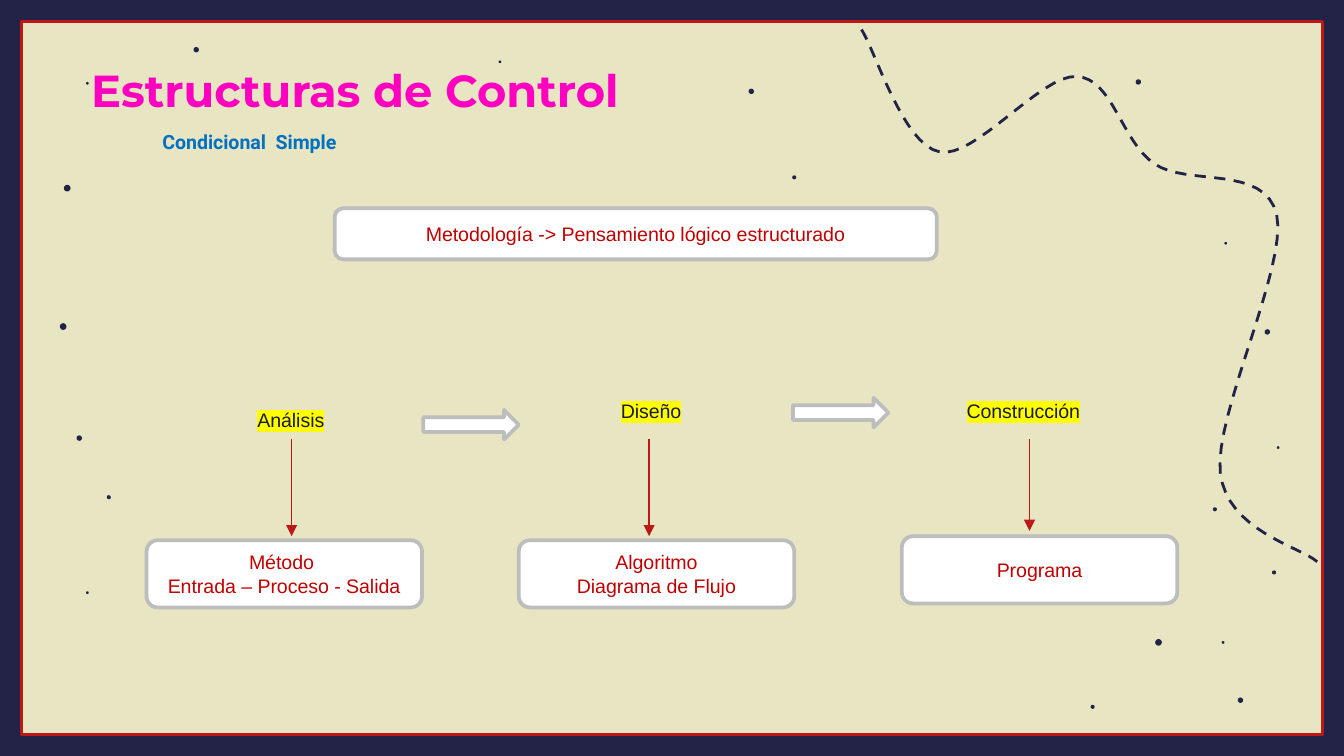
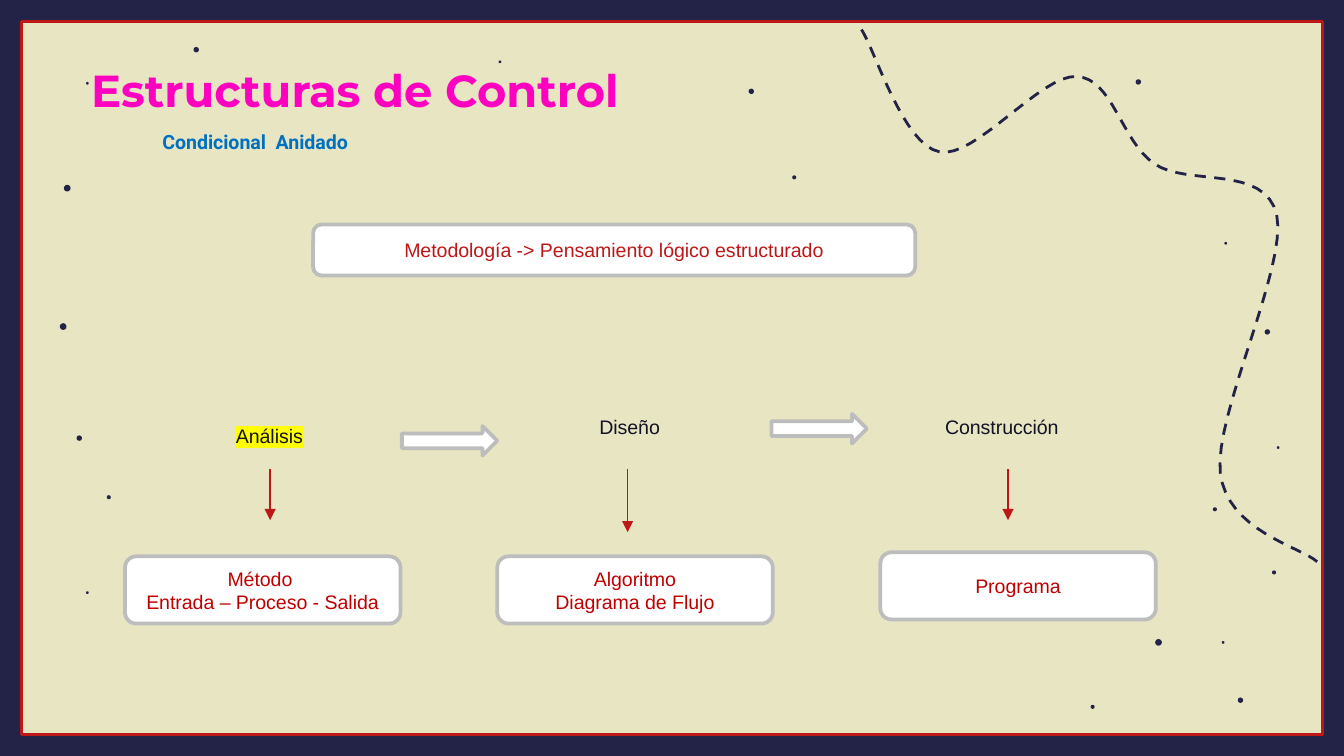
from dataclasses import dataclass

from lxml.etree import SubElement
from pptx import Presentation
from pptx.dml.color import RGBColor
from pptx.enum.dml import MSO_LINE_DASH_STYLE as Dash
from pptx.enum.shapes import MSO_CONNECTOR as Connector
from pptx.enum.shapes import MSO_SHAPE as Shape
from pptx.enum.text import MSO_ANCHOR as Anchor
from pptx.enum.text import PP_ALIGN as Align
from pptx.oxml import parse_xml
from pptx.oxml.ns import nsdecls, qn
from pptx.util import Inches, Pt

COLORS = {
    "paper": "E8E5C3", "navy": "232347", "red": "BD1717", "crimson": "C00000",
    "white": "FFFFFF", "gray": "BDBDBD", "pink": "FF00C1", "blue": "0070C0",
    "ink": "1A1A35", "dark_ink": "121224", "yellow": "FFFF00",
}
WIDTH, BAND = 10, 0.16
HEIGHT = WIDTH * 9 / 16
BODY_SIZE = 10.5

TRAIL_START = (6.41, 0.22)
TRAIL_CURVES = [
    ((6.51, 0.37), (6.72, 1.08), (6.99, 1.13)),
    ((7.25, 1.19), (7.75, 0.55), (8.01, 0.57)),
    ((8.28, 0.58), (8.34, 1.05), (8.59, 1.22)),
    ((8.84, 1.39), (9.41, 1.22), (9.5, 1.6)),
    ((9.58, 1.99), (9.03, 3.09), (9.08, 3.52)),
    ((9.13, 3.95), (9.68, 4.07), (9.8, 4.18)),
]
# Dot centres by diameter
DOTS = {
    0.05: [(8.62, 4.78), (0.5, 1.4), (0.47, 2.43)],
    0.04: [(5.59, 0.68), (9.23, 5.21), (9.43, 2.47), (0.59, 3.26), (8.47, 0.61),
           (1.46, 0.37)],
    0.03: [(0.81, 3.7), (9.04, 3.79), (5.91, 1.32), (9.48, 4.26), (8.13, 5.26)],
    0.02: [(9.1, 4.78), (9.12, 1.81), (3.72, 0.46), (0.65, 4.41), (9.51, 3.33),
           (0.65, 0.62)],
}


@dataclass
class Stage:
    """One step of the method; places are relative to the flow's corner."""
    name: str
    result: list
    label_at: tuple
    stem_left: float
    result_at: tuple


STAGES = [
    Stage("Análisis", ["Método ", "Entrada – Proceso - Salida"],
          (0.09, 1.09), 1.08, (0, 2.47)),
    Stage("Diseño", ["Algoritmo", "Diagrama de Flujo"],
          (2.77, 1.02), 3.74, (2.77, 2.47)),
    Stage("Construcción", ["Programa"], (5.54, 1.02), 6.57, (5.62, 2.44)),
]
BLOCK_ARROWS = [(2.06, 1.5), (4.81, 1.41)]


def rgb(name):
    return RGBColor.from_string(COLORS[name])


def add_box(slide, kind, left, top, width, height, fill=None, line=None, weight=2):
    shape = slide.shapes.add_shape(
        kind, Inches(left), Inches(top), Inches(width), Inches(height))
    shape.shadow.inherit = False
    paint(shape, fill, line, weight)
    return shape


def paint(shape, fill, line, weight):
    if fill:
        shape.fill.solid()
        shape.fill.fore_color.rgb = rgb(fill)
    else:
        shape.fill.background()
    if line:
        shape.line.color.rgb = rgb(line)
        shape.line.width = Pt(weight)
    else:
        shape.line.fill.background()


def write(shape, lines, color, size=BODY_SIZE, font="Arial", bold=False,
          align=Align.CENTER, anchor=Anchor.MIDDLE, highlight=None):
    frame = shape.text_frame
    frame.word_wrap = True
    frame.vertical_anchor = anchor
    for index, text in enumerate(lines):
        paragraph = frame.add_paragraph() if index else frame.paragraphs[0]
        paragraph.alignment = align
        run = paragraph.add_run()
        run.text = text
        run.font.size = Pt(size)
        run.font.name = font
        run.font.bold = bold
        run.font.color.rgb = rgb(color)
        if highlight:
            run.font._element.find(qn("a:solidFill")).addnext(parse_xml(
                f'<a:highlight {nsdecls("a")}>'
                f'<a:srgbClr val="{COLORS[highlight]}"/></a:highlight>'))


def add_frame(slide):
    slide.background.fill.solid()
    slide.background.fill.fore_color.rgb = rgb("paper")
    for left, top, width, height in [
        (0, 0, WIDTH, BAND), (0, HEIGHT - BAND, WIDTH, BAND),
        (0, 0, BAND, HEIGHT), (WIDTH - BAND, 0, BAND, HEIGHT),
    ]:
        add_box(slide, Shape.RECTANGLE, left, top, width, height, "navy")
    add_box(slide, Shape.RECTANGLE, BAND, BAND, WIDTH - 2 * BAND,
            HEIGHT - 2 * BAND, line="red", weight=1.5)


def bezier_points(start, curves, steps=16):
    """Points along a chain of cubic curves, without the start."""
    points = []
    for first, second, end in curves:
        for step in range(1, steps + 1):
            t = step / steps
            u = 1 - t
            points.append(tuple(
                u**3 * a + 3 * u * u * t * b + 3 * u * t * t * c + t**3 * d
                for a, b, c, d in zip(start, first, second, end)))
        start = end
    return points


def add_trail(slide):
    builder = slide.shapes.build_freeform(*map(Inches, TRAIL_START))
    builder.add_line_segments(
        [(Inches(x), Inches(y)) for x, y in bezier_points(TRAIL_START, TRAIL_CURVES)],
        close=False)
    trail = builder.convert_to_shape()
    trail.shadow.inherit = False
    paint(trail, None, "navy", 1.5)
    trail.line.dash_style = Dash.DASH


def add_dots(slide):
    for size, centres in DOTS.items():
        for x, y in centres:
            add_box(slide, Shape.OVAL, x - size / 2, y - size / 2, size, size, "navy")


def add_heading(slide, left, top, topic):
    title = slide.shapes.add_textbox(
        Inches(left), Inches(top), Inches(5.09), Inches(0.5))
    write(title, ["Estructuras de Control"], "pink", 24, "Montserrat", True,
          Align.LEFT, Anchor.TOP)
    subtitle = slide.shapes.add_textbox(
        Inches(left + 0.53), Inches(top + 0.5), Inches(3.55), Inches(0.28))
    write(subtitle, [topic], "blue", font="Roboto", bold=True,
          align=Align.JUSTIFY, anchor=Anchor.TOP)


def add_stem(slide, x, top, bottom):
    """Thin arrow from a stage down to its result."""
    stem = slide.shapes.add_connector(
        Connector.STRAIGHT, Inches(x), Inches(top), Inches(x), Inches(bottom))
    stem.line.color.rgb = rgb("red")
    stem.line.width = Pt(0.75)
    SubElement(stem.line._get_or_add_ln(), qn("a:tailEnd"), type="triangle")
    SubElement(stem._element.spPr, qn("a:effectLst"))


def add_flow(slide, left, top, marked, ink, banner_color, stem_top, stem_bottoms):
    """The banner and the three stages, placed from the corner (left, top)."""
    for stage in STAGES:
        x, y = stage.label_at
        label = add_box(slide, Shape.OVAL, left + x, top + y, 1.97, 0.97,
                        "paper", "paper")
        write(label, [stage.name], ink,
              highlight="yellow" if stage.name in marked else None)

    banner = add_box(slide, Shape.ROUNDED_RECTANGLE, left + 1.4, top, 4.48, 0.38,
                     "white", "gray")
    write(banner, ["Metodología -> Pensamiento lógico estructurado"], banner_color)

    for x, y in BLOCK_ARROWS:
        add_box(slide, Shape.RIGHT_ARROW, left + x, top + y, 0.71, 0.22,
                "white", "gray")

    for stage in STAGES:
        x, y = stage.result_at
        result = add_box(slide, Shape.ROUNDED_RECTANGLE, left + x, top + y, 2.05, 0.5,
                         "white", "gray")
        write(result, stage.result, "crimson")

    for stage, stem_bottom in zip(STAGES, stem_bottoms):
        add_stem(slide, left + stage.stem_left, top + stem_top, top + stem_bottom)


def add_topic_slide(presentation, topic, **flow):
    slide = presentation.slides.add_slide(presentation.slide_layouts[6])
    add_frame(slide)
    add_trail(slide)
    add_dots(slide)
    add_flow(slide, **flow)
    add_heading(slide, 0.58, 0.42, topic)


def main():
    presentation = Presentation()
    presentation.slide_width = Inches(WIDTH)
    presentation.slide_height = Inches(HEIGHT)
    add_topic_slide(
        presentation, "Condicional  Simple", left=1.09, top=1.55,
        marked=["Análisis", "Diseño", "Construcción"], ink="ink",
        banner_color="crimson", stem_top=1.72, stem_bottoms=[2.44, 2.44, 2.4])
    add_topic_slide(
        presentation, "Condicional  Anidado", left=0.93, top=1.67,
        marked=["Análisis"], ink="dark_ink",
        banner_color="red", stem_top=1.82, stem_bottoms=[2.2, 2.29, 2.2])
    presentation.save("out.pptx")


if __name__ == "__main__":
    main()
